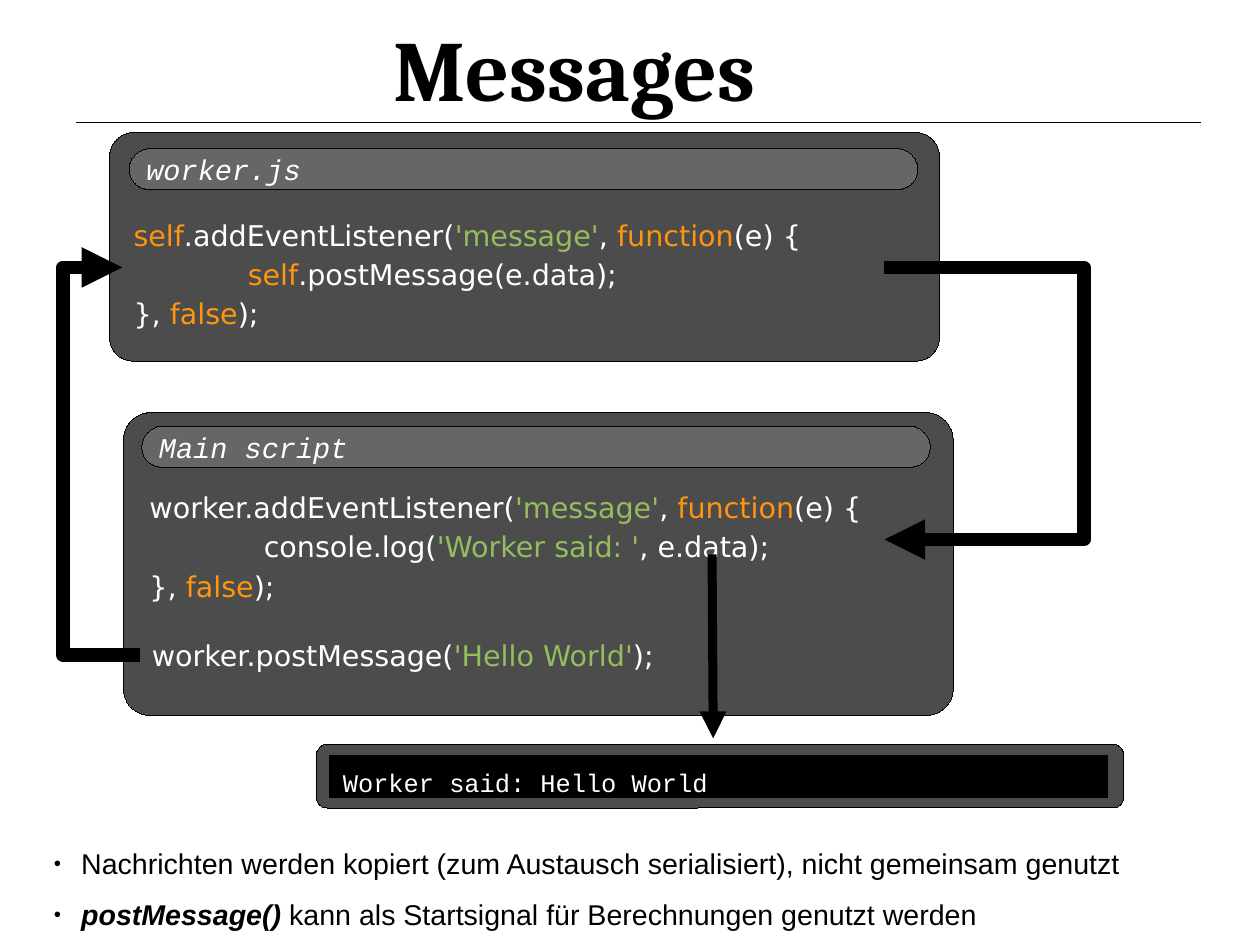
from lxml import etree
from pptx import Presentation
from pptx import util as u
from pptx.dml.color import RGBColor
from pptx.enum import shapes, text
from pptx.oxml import ns

PANEL, BAR, WHITE, BLACK = "4C4C4C", "666666", "FFFFFF", "000000"
STRING, KEYWORD = "94BD5E", "FF950E"
CODE_FONT, MONO_FONT = "DejaVu Sans", "Courier New"
HAIRLINE = 0.01

WORKER_CODE = [
    [("self", KEYWORD), (".addEventListener(", WHITE), ("'message'", STRING),
     (", ", WHITE), ("function", KEYWORD), ("(e) {", WHITE)],
    [("self", KEYWORD), (".postMessage(e.data);", WHITE)],
    [("}, ", WHITE), ("false", KEYWORD), (");", WHITE)],
]
MAIN_CODE = [
    [("worker.addEventListener(", WHITE), ("'message'", STRING),
     (", ", WHITE), ("function", KEYWORD), ("(e) {", WHITE)],
    [("console.log(", WHITE), ("'Worker said: '", STRING), (", e.data);", WHITE)],
    [("}, ", WHITE), ("false", KEYWORD), (");", WHITE)],
]
POST_CODE = [[("worker.postMessage(", WHITE), ("'Hello World'", STRING), (");", WHITE)]]


def color(value):
    """Turn a hex string into a colour."""
    return RGBColor.from_string(value)


def inches(*values):
    """Convert several numbers to lengths."""
    return [u.Inches(value) for value in values]


def write(para, words, font=CODE_FONT, size=18, fill=WHITE, bold=False, italic=False):
    """Append one formatted span of text to a paragraph."""
    span = para.add_run()
    span.text = words
    span.font.name, span.font.size = font, u.Pt(size)
    span.font.bold, span.font.italic = bold, italic
    span.font.color.rgb = color(fill)


def add_block(page, box, fill, radius=None):
    """Add a filled block with a hairline, rounded when a radius is given."""
    kind = shapes.MSO_SHAPE.RECTANGLE if radius is None else shapes.MSO_SHAPE.ROUNDED_RECTANGLE
    block = page.shapes.add_shape(kind, *inches(*box))
    block.shadow.inherit = False
    block.fill.solid()
    block.fill.fore_color.rgb = color(fill)
    block.line.color.rgb = color(BLACK)
    block.line.width = u.Pt(HAIRLINE)
    if radius is not None:
        block.adjustments[0] = radius
    return block


def label(block, words, **look):
    """Write left-aligned text in a block."""
    para = block.text_frame.paragraphs[0]
    para.alignment = text.PP_ALIGN.LEFT
    write(para, words, font=MONO_FONT, **look)


def add_code(page, box, lines, spacing=1.15):
    """Add highlighted code whose inner lines are indented."""
    frame = page.shapes.add_textbox(*inches(*box)).text_frame
    frame.word_wrap = True
    for index, line in enumerate(lines):
        para = frame.paragraphs[0] if index == 0 else frame.add_paragraph()
        para.line_spacing = spacing
        if 0 < index < len(lines) - 1:
            para._p.get_or_add_pPr().set("marL", str(u.Inches(1)))
        for words, fill in line:
            write(para, words, fill=fill)


def add_panel(page, box, name, radius, bar_offset, code_offset, lines):
    """Add a script panel with a name bar and its code."""
    left, top, width, height = box
    add_block(page, box, PANEL, radius)
    bar = add_block(page, (left + bar_offset[0], top + bar_offset[1], width - 0.36, 0.36), BAR, 0.5)
    label(bar, name, italic=True)
    add_code(page, (left + code_offset[0], top + code_offset[1], width - 0.6, 1.1), lines)


def add_console(page, box):
    """Add the console with its output line."""
    left, top, width, height = box
    add_block(page, box, PANEL, 0.167)
    screen = add_block(page, (left + 0.11, top + 0.1, width - 0.25, height - 0.19), BLACK)
    frame = screen.text_frame
    frame.vertical_anchor = text.MSO_ANCHOR.TOP
    frame.margin_left, frame.margin_top = inches(0.12, 0.1)
    label(screen, "Worker said: Hello World", size=16)


def add_line(page, start, end, width, arrow=True, bend=None):
    """Add a straight line, or one bent at a share of its width."""
    kind = shapes.MSO_CONNECTOR.STRAIGHT if bend is None else shapes.MSO_CONNECTOR.ELBOW
    line = page.shapes.add_connector(kind, *inches(*start, *end))
    line.line.color.rgb = color(BLACK)
    line.line.width = u.Pt(width)
    properties = line._element.spPr
    if arrow:
        etree.SubElement(properties.find(ns.qn("a:ln")), ns.qn("a:tailEnd"), type="triangle")
    etree.SubElement(properties, ns.qn("a:effectLst"))
    if bend is not None:
        guides = properties.find(ns.qn("a:prstGeom")).get_or_add_avLst()
        etree.SubElement(guides, ns.qn("a:gd"), name="adj1", fmla=f"val {round(bend * 100000)}")


def place(holder, box):
    """Move a placeholder and return its top-anchored text frame."""
    holder.left, holder.top, holder.width, holder.height = inches(*box)
    frame = holder.text_frame
    frame.word_wrap = True
    frame.auto_size = text.MSO_AUTO_SIZE.NONE
    frame.vertical_anchor = text.MSO_ANCHOR.TOP
    return frame


def add_heading(page, box):
    """Fill the title and rule off the heading."""
    para = place(page.shapes.title, box).paragraphs[0]
    para.alignment = text.PP_ALIGN.LEFT
    write(para, "Messages", font="Cambria", size=54, fill=BLACK, bold=True)
    rule = box[1] + 0.98
    add_line(page, (0.67, rule), (10.5, rule), HAIRLINE, arrow=False)


def add_notes_list(page, box):
    """Fill the body with the bulleted remarks."""
    frame = place(page.placeholders[1], box)
    remarks = [
        [("Nachrichten werden kopiert (zum Austausch serialisiert), nicht gemeinsam genutzt", False)],
        [("postMessage()", True), (" kann als Startsignal für Berechnungen genutzt werden", False)],
    ]
    for index, remark in enumerate(remarks):
        para = frame.paragraphs[0] if index == 0 else frame.add_paragraph()
        para.line_spacing = 1.5
        para.space_before = u.Pt(0)
        layout = para._p.get_or_add_pPr()
        layout.set("marL", str(u.Inches(0.24)))
        layout.set("indent", str(-u.Inches(0.24)))
        tint = etree.SubElement(layout, ns.qn("a:buClr"))
        etree.SubElement(tint, ns.qn("a:srgbClr"), val=BLACK)
        etree.SubElement(layout, ns.qn("a:buSzPct"), val="45000")
        etree.SubElement(layout, ns.qn("a:buChar"), char="●")
        for words, strong in remark:
            write(para, words, font="Arial", fill=BLACK, bold=strong, italic=strong)


def add_flow(page):
    """Add the arrows that carry the messages."""
    add_line(page, (1.23, 5.73), (1.07, 2.34), 8.5, bend=4.25)
    add_line(page, (7.73, 2.34), (7.74, 4.72), 8.5, bend=178)
    add_line(page, (6.23, 4.85), (6.24, 6.46), 5.67)


def main():
    """Build the slide and save it."""
    deck = Presentation()
    deck.slide_width, deck.slide_height = inches(28 / 2.54, 21 / 2.54)
    deck.element.sldSz.attrib.pop("type", None)
    page = deck.slides.add_slide(deck.slide_layouts[1])
    add_heading(page, (3.34, 0.09, 6.26, 1.12))
    add_panel(page, (1.08, 3.61, 7.26, 2.65), "Main script", 0.089, (0.16, 0.12), (0.13, 0.58), MAIN_CODE)
    add_code(page, (1.23, 5.53, 8.12, 0.4), POST_CODE, spacing=1)
    add_panel(page, (0.96, 1.16, 7.26, 2), "worker.js", 0.103, (0.17, 0.14), (0.11, 0.65), WORKER_CODE)
    add_console(page, (2.77, 6.51, 7.06, 0.56))
    add_flow(page)
    add_notes_list(page, (0.37, 7.2, 9.99, 0.94))
    deck.save("out.pptx")


if __name__ == "__main__":
    main()
